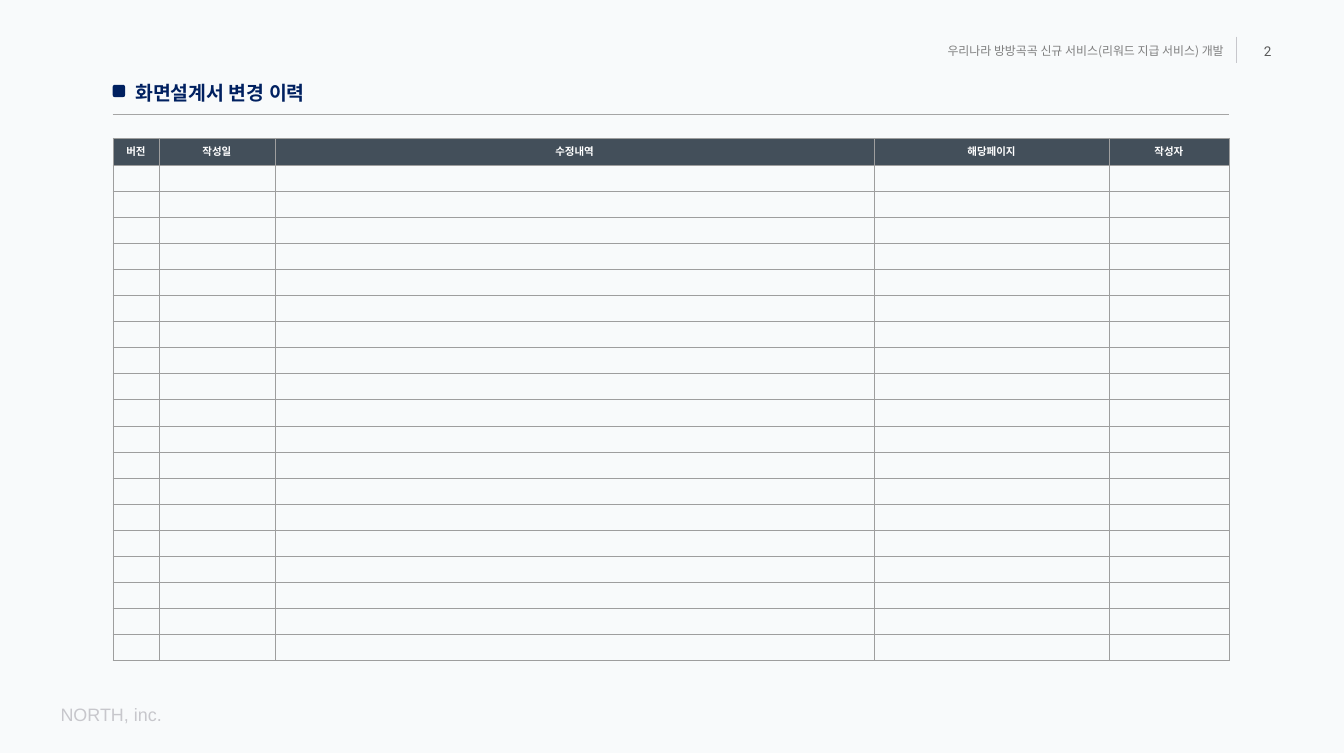
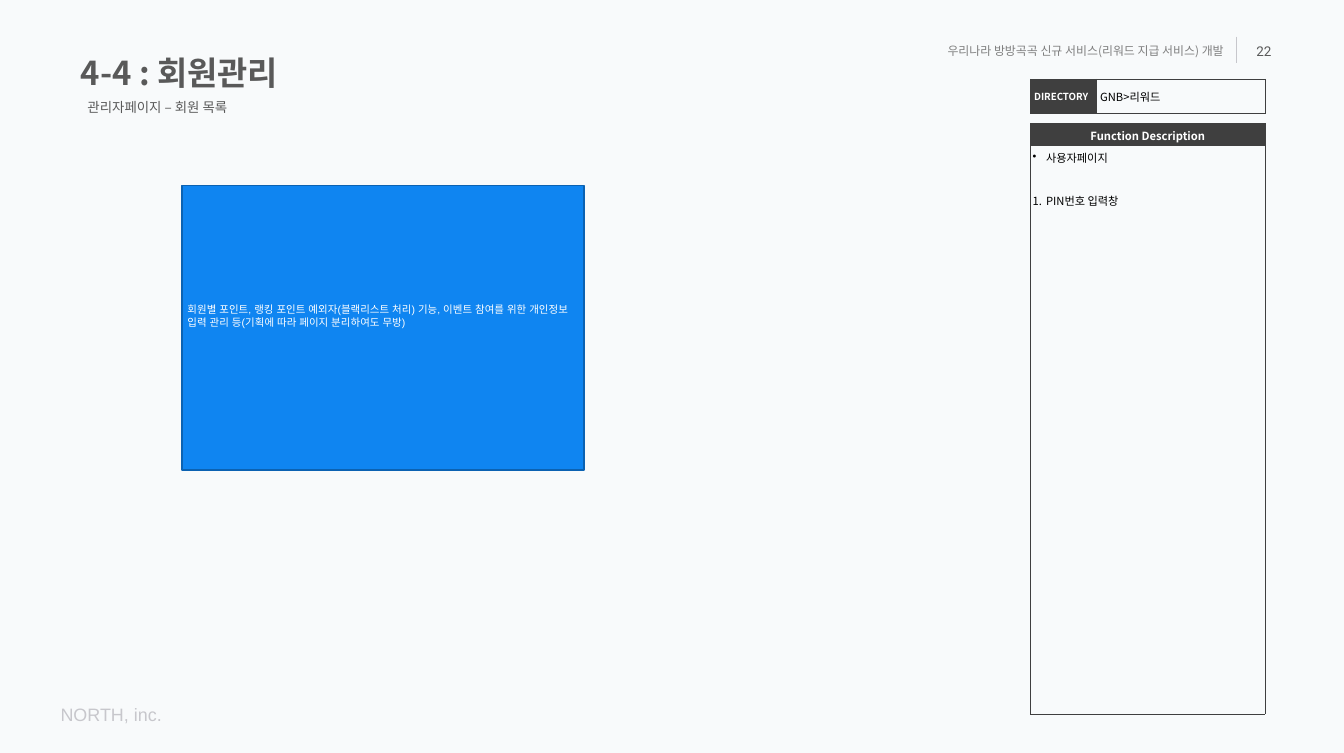
from lxml.etree import SubElement
from pptx import Presentation
from pptx.dml.color import RGBColor
from pptx.enum.shapes import MSO_CONNECTOR, MSO_SHAPE
from pptx.enum.text import MSO_ANCHOR, PP_ALIGN
from pptx.oxml.ns import qn
from pptx.util import Pt

SANS = "Noto Sans CJK KR"
NAVY, SLATE, DARK, GREY = "002060", "434F5A", "3F3F3F", "595959"
WHITE, BLACK, PALE = "FFFFFF", "000000", "C7C7CC"


def rgb(code):
    return RGBColor.from_string(code)


class Deck:
    def __init__(self):
        self.prs = Presentation()
        self.prs.slide_width, self.prs.slide_height = Pt(1800), Pt(1008)
        back = self.prs.slide_master.background.fill
        back.solid()
        back.fore_color.rgb = rgb("F8FAFB")

    def page(self, number):
        self.slide = self.prs.slides.add_slide(self.prs.slide_layouts[6])
        self.line(1656, 49, 1656, 85, PALE)
        self.text(74, 924.5, 256, 51, "NORTH, inc.", 24, PALE, face="Arial", space=1.5)
        self.text(1038, 41, 608, 54, "우리나라 방방곡곡 신규 서비스(리워드 지급 서비스) 개발", 16, "7F7F7F",
                  align=PP_ALIGN.RIGHT, anchor=MSO_ANCHOR.MIDDLE)
        self.text(1660, 41, 50, 54, number, 18, GREY, face="Roboto",
                  align=PP_ALIGN.RIGHT, anchor=MSO_ANCHOR.MIDDLE)

    def label(self, para, text, size, color, face=SANS, bold=False, **form):
        for name, value in form.items():
            setattr(para, name, value)
        run = para.add_run()
        run.text = text
        for name, value in {"size": Pt(size), "name": face, "bold": bold}.items():
            setattr(run.font, name, value)
        run.font.color.rgb = rgb(color)
        SubElement(run._r.get_or_add_rPr(), qn("a:ea"), typeface=face)

    def text(self, x, y, w, h, text, size, color, face=SANS, bold=False,
             align=PP_ALIGN.LEFT, anchor=MSO_ANCHOR.TOP, space=1.0):
        frame = self.slide.shapes.add_textbox(Pt(x), Pt(y), Pt(w), Pt(h)).text_frame
        frame.word_wrap = True
        frame.vertical_anchor = anchor
        self.label(frame.paragraphs[0], text, size, color, face, bold,
                   alignment=align, line_spacing=space)

    def line(self, x, y, right, low, color):
        line = self.slide.shapes.add_connector(
            MSO_CONNECTOR.STRAIGHT, Pt(x), Pt(y), Pt(right), Pt(low))
        line.line.color.rgb = rgb(color)
        line.line.width = Pt(0.75)
        SubElement(line._element.spPr, qn("a:effectLst"))

    def shape(self, kind, x, y, w, h, fill, edge=None):
        shape = self.slide.shapes.add_shape(kind, Pt(x), Pt(y), Pt(w), Pt(h))
        shape.shadow.inherit = False
        shape.fill.solid()
        shape.fill.fore_color.rgb = rgb(fill)
        if edge:
            shape.line.color.rgb = rgb(edge)
            shape.line.width = Pt(2)
        else:
            shape.line.fill.background()
        return shape

    def table(self, x, y, cols, rows, edge):
        table = self.slide.shapes.add_table(
            len(rows), len(cols), Pt(x), Pt(y), Pt(sum(cols)), Pt(sum(rows))).table
        table.first_row = table.horz_banding = False
        for col, width in zip(table.columns, cols):
            col.width = Pt(width)
        for row, height in zip(table.rows, rows):
            row.height = Pt(height)
        for cell in table.iter_cells():
            props = cell._tc.get_or_add_tcPr()
            for side in ("lnL", "lnR", "lnT", "lnB"):
                line = SubElement(props, qn(f"a:{side}"), w=str(Pt(0.75)))
                fill = SubElement(line, qn("a:solidFill"))
                SubElement(fill, qn("a:srgbClr"), val=edge)
            cell.fill.background()
        return table

    def cell(self, cell, text, size, color=WHITE, fill=None, bold=False,
             align=PP_ALIGN.LEFT, anchor=MSO_ANCHOR.TOP, pad=(7, 7)):
        cell.margin_left = cell.margin_right = Pt(pad[0])
        cell.margin_top = cell.margin_bottom = Pt(pad[1])
        cell.vertical_anchor = anchor
        if fill:
            cell.fill.solid()
            cell.fill.fore_color.rgb = rgb(fill)
        self.label(cell.text_frame.paragraphs[0], text, size, color,
                   bold=bold, alignment=align)

    def bullet(self, para, tag, **attrs):
        props = para._p.get_or_add_pPr()
        props.set("marL", str(Pt(18)))
        props.set("indent", str(-Pt(18)))
        SubElement(props, qn(f"a:{tag}"), **attrs)


def history(deck):
    deck.page("2")
    deck.text(174, 89, 450, 49, "화면설계서 변경 이력", 26, NAVY, bold=True, space=1.5)
    deck.line(151, 153.5, 1646, 153.5, "A5A5A5")
    deck.shape(MSO_SHAPE.ROUNDED_RECTANGLE, 151, 113.5, 16.5, 16.5, NAVY)
    table = deck.table(151, 185, [62, 155, 803, 314, 161], [36] + [34.9] * 19, "9E9E9E")
    heads = ["버전", "작성일", "수정내역", "해당페이지", "작성자"]
    for cell, head in zip(table.rows[0].cells, heads):
        deck.cell(cell, head, 14, fill=SLATE, bold=True, align=PP_ALIGN.CENTER)


def members(deck):
    deck.page("22")
    deck.text(101, 41, 857, 87, "4-4 : 회원관리", 44, GREY, bold=True, space=1.5)
    deck.text(110, 118, 534, 40, "관리자페이지 – 회원 목록", 18, GREY, space=1.5)

    menu = deck.table(1380, 106, [88.5, 225.5], [46], DARK)
    middle = {"anchor": MSO_ANCHOR.MIDDLE, "pad": (5, 5)}
    deck.cell(menu.cell(0, 0), "DIRECTORY", 13, fill=DARK, bold=True, **middle)
    deck.cell(menu.cell(0, 1), "GNB>리워드", 15, BLACK, **middle)

    notes = deck.table(1380, 165.5, [314.5], [29.5, 761], DARK)
    deck.cell(notes.cell(0, 0), "Function Description", 15, fill=DARK, bold=True,
              align=PP_ALIGN.CENTER, pad=(3, 5.5))
    body = notes.cell(1, 0)
    first = body.text_frame.paragraphs[0]
    deck.bullet(first, "buChar", char="•")
    deck.cell(body, "사용자페이지", 15, BLACK, pad=(3, 5.5))
    second = body.text_frame.add_paragraph()
    deck.bullet(second, "buAutoNum", type="arabicPeriod")
    deck.label(second, "PIN번호 입력창", 15, BLACK, space_before=Pt(36))

    box = deck.shape(MSO_SHAPE.RECTANGLE, 244, 248.5, 538, 381, "0F85F1", "0B62B2")
    frame = box.text_frame
    frame.word_wrap = True
    frame.vertical_anchor = MSO_ANCHOR.MIDDLE
    frame.margin_bottom = Pt(36)
    deck.label(frame.paragraphs[0],
               "회원별 포인트, 랭킹 포인트 예외자(블랙리스트 처리) 기능, 이벤트 참여를 위한 "
               "개인정보 입력 관리 등(기획에 따라 페이지 분리하여도 무방)",
               14, WHITE, face="Arial", alignment=PP_ALIGN.LEFT)


def main():
    deck = Deck()
    history(deck)
    members(deck)
    deck.prs.save("out.pptx")


if __name__ == "__main__":
    main()
